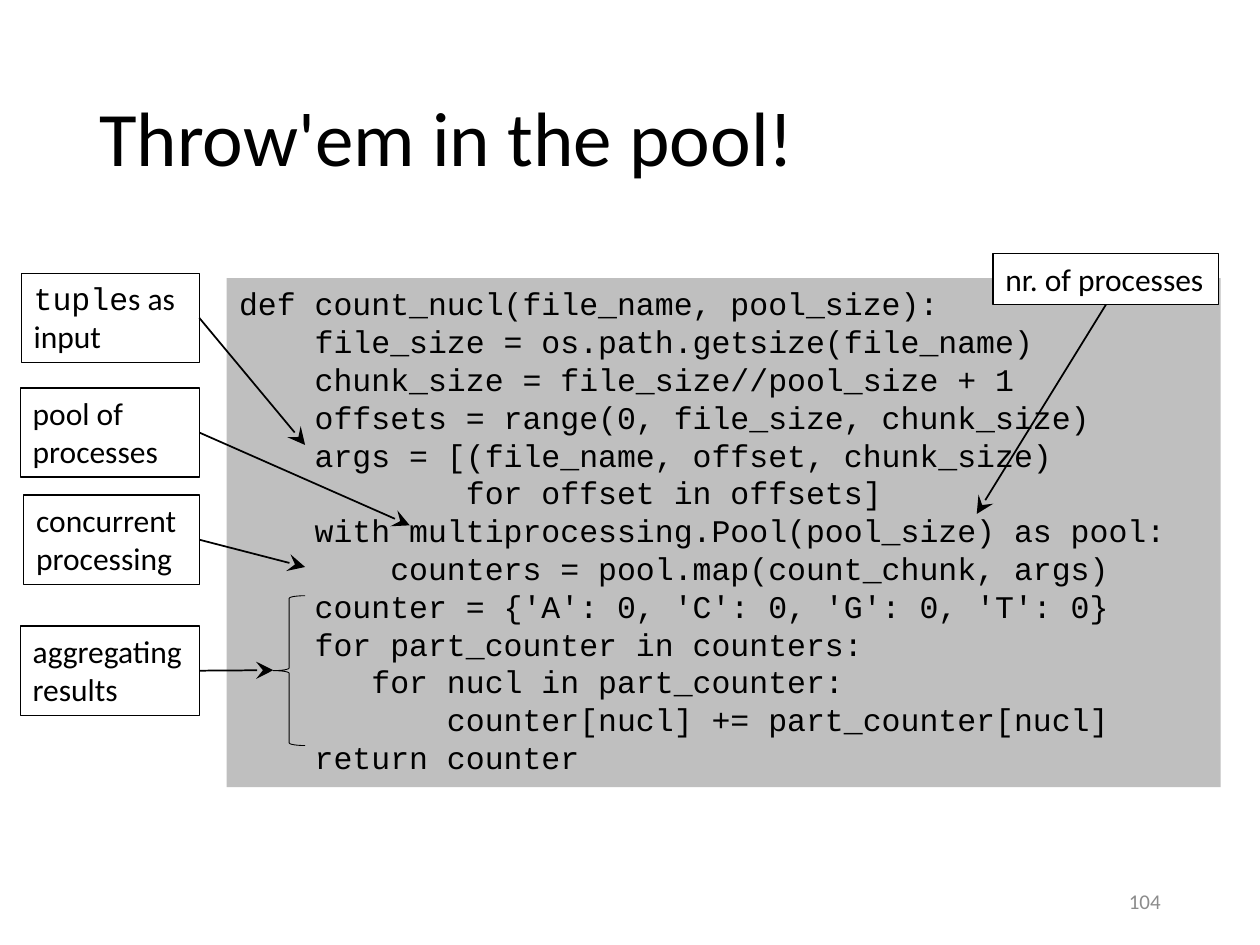
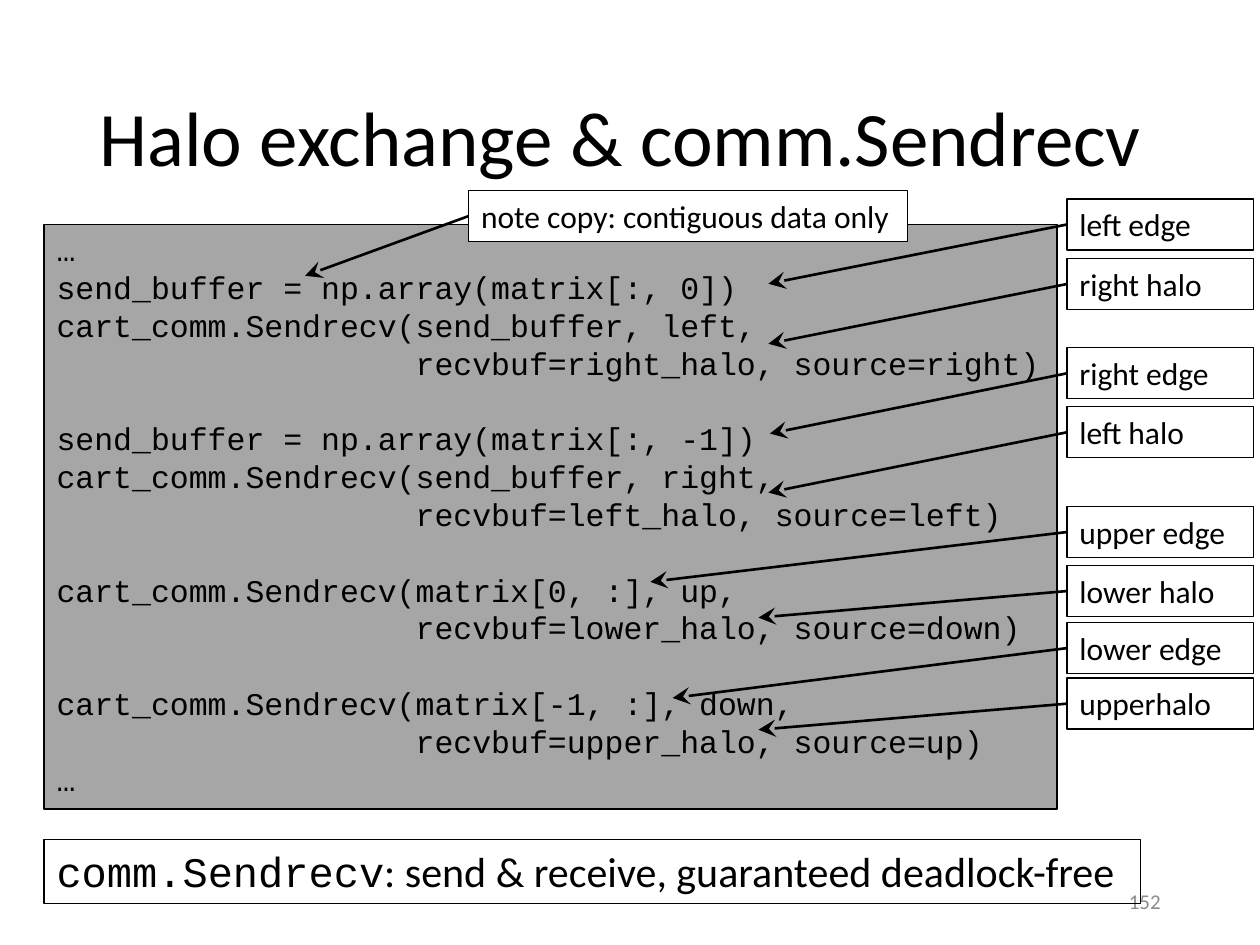
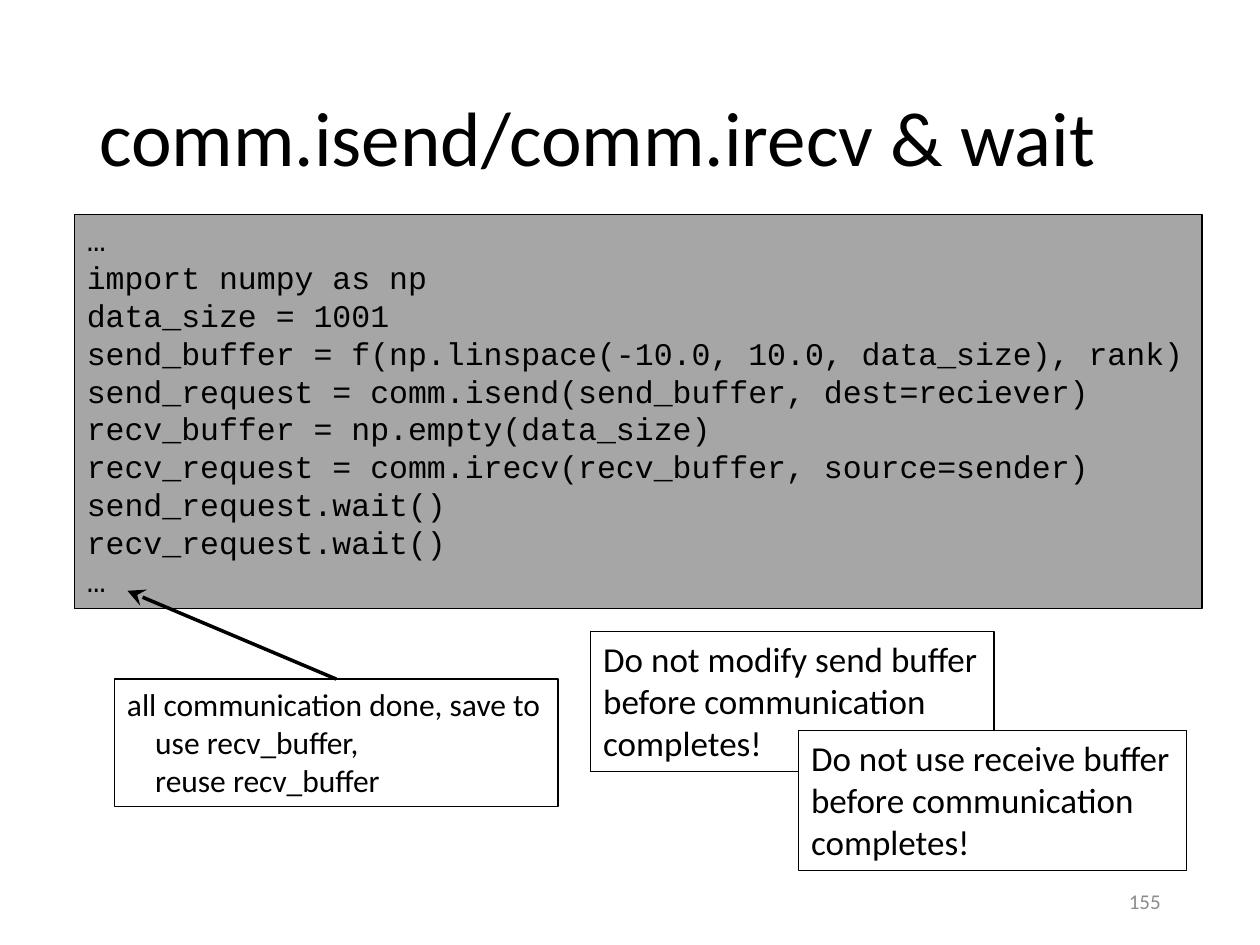
"""Build three slides of annotated Python code on parallel computing."""
from lxml import etree
from pptx import Presentation
from pptx.dml.color import RGBColor
from pptx.enum.shapes import MSO_CONNECTOR as CONN, MSO_SHAPE as SHAPE
from pptx.enum.text import MSO_ANCHOR as ANCHOR, MSO_AUTO_SIZE as FIT, PP_ALIGN as ALIGN
from pptx.oxml.ns import qn
from pptx.util import Cm, Pt

COLORS = {"ink": "000000", "paper": "FFFFFF", "light": "BFBFBF",
          "dark": "A6A6A6", "number": "8C8C8C"}
SANS, MONO = "Calibri", "Courier New"
TOP, LEFT, BOTTOM, RIGHT = range(4)
LABEL_H = 1.03

POOL_CODE = """\
def count_nucl(file_name, pool_size):
    file_size = os.path.getsize(file_name)
    chunk_size = file_size//pool_size + 1
    offsets = range(0, file_size, chunk_size)
    args = [(file_name, offset, chunk_size)
            for offset in offsets]
    with multiprocessing.Pool(pool_size) as pool:
        counters = pool.map(count_chunk, args)
    counter = {'A': 0, 'C': 0, 'G': 0, 'T': 0}
    for part_counter in counters:
       for nucl in part_counter:
           counter[nucl] += part_counter[nucl]
    return counter"""

HALO_CODE = """\
…
send_buffer = np.array(matrix[:, 0])
cart_comm.Sendrecv(send_buffer, left,
                   recvbuf=right_halo, source=right)

send_buffer = np.array(matrix[:, -1])
cart_comm.Sendrecv(send_buffer, right,
                   recvbuf=left_halo, source=left)

cart_comm.Sendrecv(matrix[0, :], up,
                   recvbuf=lower_halo, source=down)

cart_comm.Sendrecv(matrix[-1, :], down,
                   recvbuf=upper_halo, source=up)
…"""

WAIT_CODE = """\
…
import numpy as np
data_size = 1001
send_buffer = f(np.linspace(-10.0, 10.0, data_size), rank)
send_request = comm.isend(send_buffer, dest=reciever)
recv_buffer = np.empty(data_size)
recv_request = comm.irecv(recv_buffer, source=sender)
send_request.wait()
recv_request.wait()
…"""


def rgb(name):
    """Look up a named colour."""
    return RGBColor.from_string(COLORS[name])


class Deck:
    """Hold the shared style and the current slide."""

    def __init__(self):
        """Start an empty 4:3 presentation."""
        self.prs = Presentation()
        self.prs.slide_width, self.prs.slide_height = Cm(25.4), Cm(19.05)
        self.s = None

    def run(self, p, text, font=SANS, size=18, color="ink"):
        """Add one formatted run to a paragraph."""
        r = p.add_run()
        r.text = text
        r.font.name, r.font.size = font, Pt(size)
        r.font.color.rgb = rgb(color)

    def slide(self, title, number):
        """Add a slide with its title and page number."""
        self.s = self.prs.slides.add_slide(self.prs.slide_layouts[5])
        sp = self.s.shapes.title
        sp.left, sp.top, sp.width, sp.height = Cm(1.75), Cm(1.02), Cm(21.89), Cm(3.68)
        tf = sp.text_frame
        tf.auto_size, tf.vertical_anchor = FIT.NONE, ANCHOR.MIDDLE
        p = tf.paragraphs[0]
        p.alignment, p.line_spacing = ALIGN.LEFT, 0.9
        self.run(p, title, size=44)
        tf = self.s.shapes.add_textbox(Cm(17.93), Cm(17.65), Cm(5.72), Cm(1.02)).text_frame
        tf.word_wrap, tf.vertical_anchor = True, ANCHOR.MIDDLE
        p = tf.paragraphs[0]
        p.alignment = ALIGN.RIGHT
        self.run(p, str(number), size=12, color="number")

    def shape(self, kind, x, y, w, h, fill=None, line=0.75):
        """Add a preset shape with a plain fill and outline."""
        sp = self.s.shapes.add_shape(kind, Cm(x), Cm(y), Cm(w), Cm(h))
        sp.shadow.inherit = False
        if fill:
            sp.fill.solid()
            sp.fill.fore_color.rgb = rgb(fill)
        else:
            sp.fill.background()
        if line:
            sp.line.color.rgb, sp.line.width = rgb("ink"), Pt(line)
        else:
            sp.line.fill.background()
        tf = sp.text_frame
        tf.word_wrap, tf.vertical_anchor = True, ANCHOR.TOP
        tf.paragraphs[0].alignment = ALIGN.LEFT
        return sp

    def code(self, x, y, w, h, source, fill, line=0.75):
        """Add a code listing, one paragraph a line."""
        tf = self.shape(SHAPE.RECTANGLE, x, y, w, h, fill, line).text_frame
        p, gap = tf.paragraphs[0], False
        for i, text in enumerate(source.split("\n")):
            if not text:
                gap = True
                continue
            if i:
                p = tf.add_paragraph()
                p.alignment = ALIGN.LEFT
            if gap:
                p.space_before, gap = Pt(21.6), False
            self.run(p, text, MONO)

    def box(self, x, y, w, h, *lines, mono="", size=18, fill=None, hang=0):
        """Add an outlined note, with an optional code word in front."""
        sp = self.shape(SHAPE.RECTANGLE, x, y, w, h, fill)
        p = sp.text_frame.paragraphs[0]
        if hang:
            pPr = p._p.get_or_add_pPr()
            pPr.set("marL", str(Cm(hang)))
            pPr.set("indent", str(-Cm(hang)))
        if mono:
            self.run(p, mono, MONO, size)
        for i, text in enumerate(lines):
            if i:
                p.add_line_break()
            self.run(p, text, size=size)
        return sp

    def arrow(self, sp, side, x, y, width):
        """Draw an arrow from the middle of a box side to a point."""
        c = self.s.shapes.add_connector(CONN.STRAIGHT, sp.left, sp.top, Cm(x), Cm(y))
        c.begin_connect(sp, side)
        c.line.color.rgb, c.line.width = rgb("ink"), Pt(width)
        etree.SubElement(c.line._get_or_add_ln(), qn("a:tailEnd"),
                         type="stealth", w="lg", len="lg")
        etree.SubElement(c._element.spPr, qn("a:effectLst"))


def pool_slide(d):
    """Build the process pool slide."""
    d.slide("Throw'em in the pool!", 104)
    d.code(4.57, 5.61, 20.04, 10.26, POOL_CODE, "light", line=0)
    edge = 4.02
    for x, y, mono, lines, tip in (
            (0.43, 5.51, "tuple", ("s as", "input"), (6.15, 8.97)),
            (0.41, 7.82, "", ("pool of", "processes"), (8.26, 10.59)),
            (0.48, 9.98, "", ("concurrent", "processing"), (6.15, 11.43)),
            (0.41, 12.62, "", ("aggregating", "results"), (5.51, 13.51))):
        note = d.box(x, y, edge - x, 1.8, *lines, mono=mono)
        d.arrow(note, RIGHT, *tip, 1)
    d.shape(SHAPE.LEFT_BRACE, 5.51, 12.01, 0.64, 3.02, line=0.5)
    note = d.box(20.02, 5.11, 4.55, LABEL_H, "nr. of processes", fill="paper")
    d.arrow(note, BOTTOM, 19.69, 10.36, 1)


def halo_slide(d):
    """Build the halo exchange slide."""
    d.slide("Halo exchange & comm.Sendrecv", 152)
    d.code(0.89, 4.52, 20.42, 11.79, HALO_CODE, "dark")
    for text, y, *tip in (
            ("left edge", 4.01, 15.49, 5.72), ("right halo", 5.21, 15.49, 6.93),
            ("right edge", 7.01, 15.52, 8.74), ("left halo", 8.2, 15.49, 9.93),
            ("upper edge", 10.21, 13.11, 11.73), ("lower halo", 11.4, 15.29, 12.45),
            ("lower edge", 12.55, 13.56, 14.07), ("upperhalo", 13.67, 15.29, 14.71)):
        label = d.box(21.51, y, 3.76, LABEL_H, text, fill="paper")
        d.arrow(label, LEFT, *tip, 1.5)
    d.box(0.89, 16.92, 22.1, 1.29, ": send & receive, guaranteed deadlock-free",
          mono="comm.Sendrecv", size=24)
    note = d.box(9.45, 3.84, 8.84, LABEL_H, "note copy: contiguous data only", fill="paper")
    d.arrow(note, LEFT, 6.15, 5.56, 1.5)


def wait_slide(d):
    """Build the non-blocking communication slide."""
    d.slide("comm.isend/comm.irecv & wait", 155)
    d.code(1.5, 4.32, 22.73, 7.95, WAIT_CODE, "dark")
    note = d.box(2.31, 13.69, 8.94, 2.57, "all communication done, save to",
                 "use recv_buffer,", "reuse recv_buffer", hang=0.57)
    d.arrow(note, TOP, 2.57, 11.91, 2)
    for x, y, w, action, fill in ((11.91, 12.73, 8.13, "modify send", None),
                                  (16.1, 14.73, 7.82, "use receive", "paper")):
        d.box(x, y, w, 2.82, f"Do not {action} buffer", "before communication",
              "completes!", size=20, fill=fill)


def main():
    """Build the slides and save them."""
    d = Deck()
    pool_slide(d)
    halo_slide(d)
    wait_slide(d)
    d.prs.save("out.pptx")


if __name__ == "__main__":
    main()
